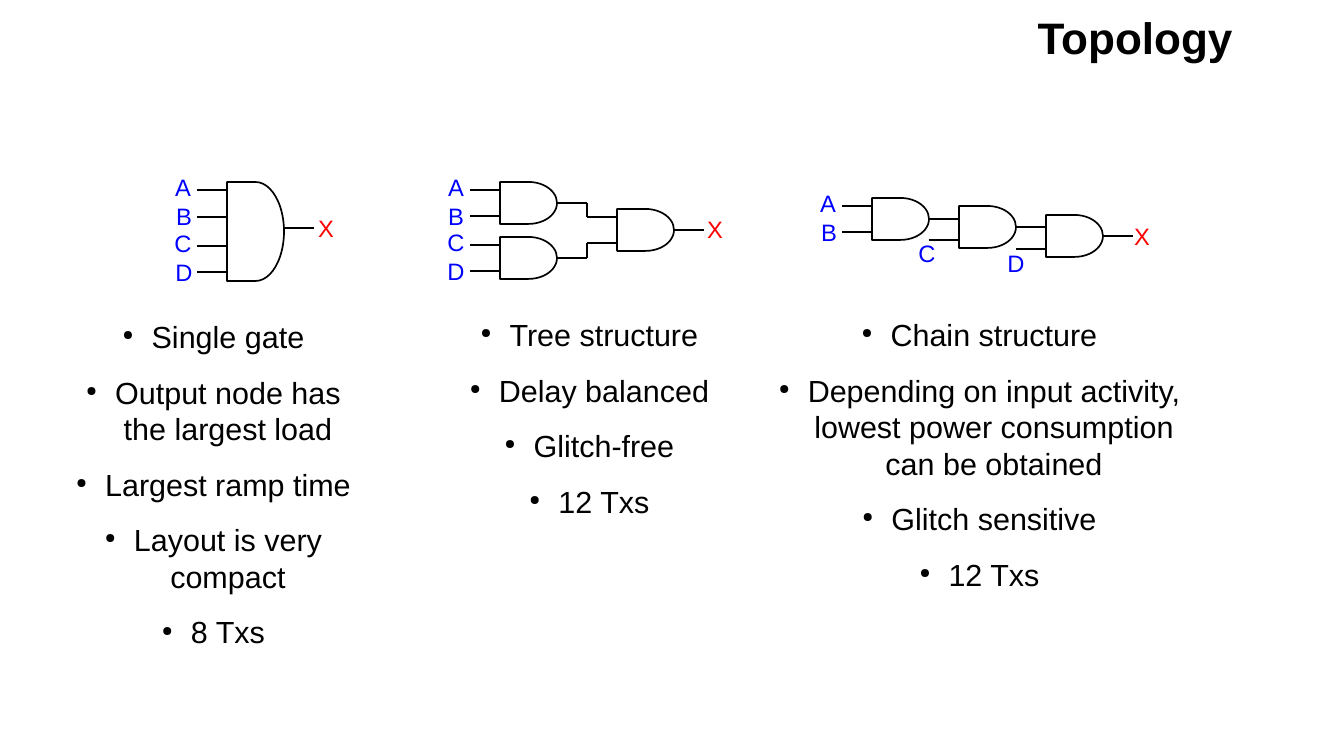
"""Build the Topology slide: three AND-gate circuits with notes."""
from lxml.etree import SubElement
from pptx import Presentation
from pptx.dml.color import RGBColor
from pptx.enum.shapes import MSO_CONNECTOR, MSO_SHAPE
from pptx.enum.text import MSO_ANCHOR, MSO_AUTO_SIZE, PP_ALIGN
from pptx.oxml.ns import qn
from pptx.util import Pt

SCALE = 914400 / 122
SIZE = (1344, 756)
TITLE = ("Topology", (34, -6, 1211, 94))
GATE, WIRE, TALL = 57, 30, 42
HIGH, LOW, MID = 8, 34, 21
BLACK, BLUE, RED = "000000", "0000FF", "FF0000"

# Gates: left, top, height, input offsets, output offset.
# Labels: text, centre x, centre y. Links: x, from y, to y.
CIRCUITS = [
    {"gates": [(227, 182, 99, (8, 35, 64, 90), 46)],
     "labels": [("A", 183, 188), ("B", 184, 217), ("C", 183, 244),
                ("D", 184, 273), ("X", 326, 229)],
     "links": []},
    {"gates": [(500, 182, TALL, (HIGH, LOW), MID),
               (500, 237, TALL, (HIGH, LOW), MID),
               (617, 209, TALL, (HIGH, LOW), MID)],
     "labels": [("A", 456, 188), ("B", 456, 217), ("C", 456, 243),
                ("D", 456, 272), ("X", 715, 230)],
     "links": [(587, 203, 217), (587, 258, 243)]},
    {"gates": [(872, 198, TALL, (HIGH, LOW), MID),
               (959, 206, TALL, (LOW,), MID),
               (1046, 215, TALL, (LOW,), MID)],
     "labels": [("A", 828, 204), ("B", 829, 233), ("C", 927, 254),
                ("D", 1016, 264), ("X", 1142, 237)],
     "links": []},
]
NOTES = [
    ((61, 312, 305, 345), ["Single gate", "Output node has the largest load",
                           "Largest ramp time", "Layout is very compact", "8 Txs"]),
    ((447, 310, 285, 216), ["Tree structure", "Delay balanced", "Glitch-free", "12 Txs"]),
    ((747, 310, 465, 289), [
        "Chain structure",
        "Depending on input activity, lowest power consumption can be obtained",
        "Glitch sensitive", "12 Txs"]),
]


def px(*vals):
    return [round(v * SCALE) for v in vals]


def paint(hue):
    return RGBColor.from_string(hue)


def put(item, **vals):
    for key, val in vals.items():
        setattr(item, key, val)


def style(para, size, hue=BLACK, **vals):
    put(para.font, name="Arial", size=Pt(size), **vals)
    para.font.color.rgb = paint(hue)


def add_bullet(para):
    props = para._p.get_or_add_pPr()
    dent = px(29)[0]
    props.set("marL", str(dent))
    props.set("indent", str(-dent))
    tint = SubElement(props, qn("a:buClr"))
    SubElement(tint, qn("a:srgbClr"), val=BLACK)
    SubElement(props, qn("a:buSzPct"), val="45000")
    SubElement(props, qn("a:buChar"), char="●")


def add_text(home, box, lines, size, hue=BLACK, bullet=False):
    frame = home.add_textbox(*px(*box)).text_frame
    put(frame, word_wrap=True, auto_size=MSO_AUTO_SIZE.SHAPE_TO_FIT_TEXT,
        text="\n".join(lines))
    for num, para in enumerate(frame.paragraphs):
        if bullet:
            add_bullet(para)
        put(para, alignment=PP_ALIGN.CENTER, space_before=Pt(11.2 if num else 0))
        style(para, size, hue)


def add_wire(home, *ends):
    wire = home.add_connector(MSO_CONNECTOR.STRAIGHT, *px(*ends))
    wire.line.color.rgb = paint(BLACK)
    wire.line.width = Pt(0.75)
    SubElement(wire._element.spPr, qn("a:effectLst"))
    return wire


def add_gate(home, left, top, tall, pins, out):
    gate = home.add_shape(MSO_SHAPE.FLOWCHART_DELAY, *px(left, top, GATE, tall))
    gate.shadow.inherit = False
    gate.fill.background()
    gate.line.color.rgb = paint(BLACK)
    gate.line.width = Pt(1)
    for pin in pins:
        add_wire(home, left - WIRE, top + pin, left, top + pin)
    right = left + GATE
    wire = add_wire(home, right, top + out, right + WIRE, top + out)
    if out * 2 == tall:
        wire.begin_connect(gate, 3)


def main():
    deck = Presentation()
    deck.slide_width, deck.slide_height = px(*SIZE)
    slide = deck.slides.add_slide(deck.slide_layouts[5])
    text, box = TITLE
    head = slide.shapes.title
    put(head, **dict(zip(("left", "top", "width", "height"), px(*box))))
    put(head.text_frame, text=text, word_wrap=True,
        auto_size=MSO_AUTO_SIZE.NONE, vertical_anchor=MSO_ANCHOR.MIDDLE)
    para = head.text_frame.paragraphs[0]
    put(para, alignment=PP_ALIGN.RIGHT, line_spacing=0.85)
    style(para, 26, bold=True)
    for plan in CIRCUITS:
        home = slide.shapes.add_group_shape().shapes
        for gate in plan["gates"]:
            add_gate(home, *gate)
        for x, start, end in plan["links"]:
            add_wire(home, x, start, x, end)
        for name, x, y in plan["labels"]:
            add_text(home, (x - 45, y - 21, 90, 41), [name], 14,
                     RED if name == "X" else BLUE)
    for box, lines in NOTES:
        add_text(slide.shapes, box, lines, 18, bullet=True)
    deck.save("out.pptx")


if __name__ == "__main__":
    main()
